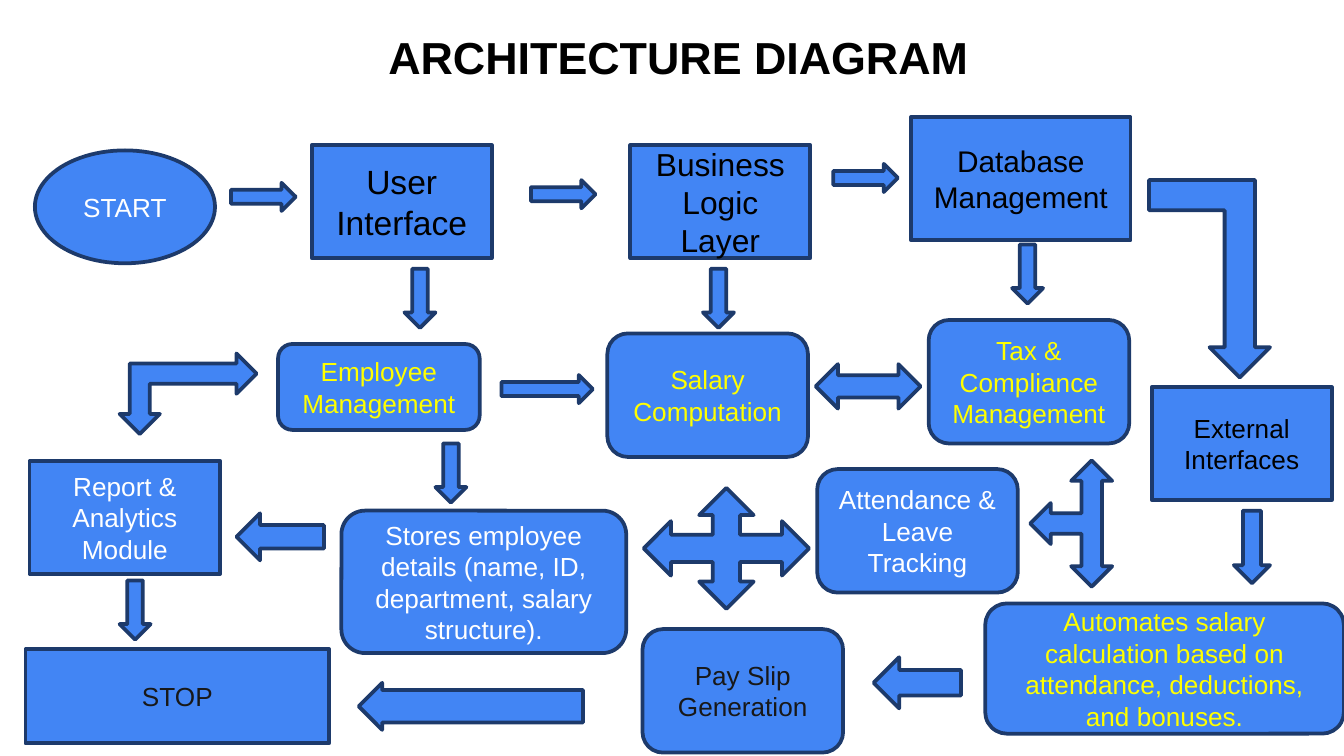
import pptx
import pptx.dml.color
import pptx.enum.shapes
import pptx.enum.text
import pptx.oxml
import pptx.oxml.ns
import pptx.util

Pt = pptx.util.Pt
SHAPE = pptx.enum.shapes.MSO_SHAPE
ANCHOR = pptx.enum.text.MSO_ANCHOR
ALIGN = pptx.enum.text.PP_ALIGN

TITLE = "ARCHITECTURE DIAGRAM"
FONT = "Arial"
FILL, OUTLINE = "4285F4", "1D3A6B"
BLACK, DARK, WHITE, YELLOW = "000000", "181818", "FFFFFF", "FFFF00"

BOX = (96.5, 60.5)
MODULE = (107.5, 66.2)

# text, shape, (left, top), (width, height), font size, font colour
NODES = [
    ("START", SHAPE.OVAL, (18.7, 80.6), BOX, 14, WHITE),
    ("User Interface", SHAPE.RECTANGLE, (167, 77.8), BOX, 18, BLACK),
    ("Business Logic Layer", SHAPE.RECTANGLE, (337.7, 77.8), BOX, 17, BLACK),
    ("Database Management", SHAPE.RECTANGLE, (488.2, 62.6), (117.4, 66.2), 16, BLACK),
    ("External Interfaces", SHAPE.RECTANGLE, (617, 207.4), BOX, 14, BLACK),
    ("Employee Management", SHAPE.ROUNDED_RECTANGLE, (149, 184.3), (108, 46), 14, YELLOW),
    ("Salary Computation", SHAPE.ROUNDED_RECTANGLE, (325.4, 178.6), MODULE, 14, YELLOW),
    ("Tax & Compliance Management", SHAPE.ROUNDED_RECTANGLE, (497.5, 171.4), MODULE, 14, YELLOW),
    ("Attendance & Leave Tracking", SHAPE.ROUNDED_RECTANGLE, (437.8, 251.3), MODULE, 14, WHITE),
    ("Pay Slip Generation", SHAPE.ROUNDED_RECTANGLE, (344.2, 337), MODULE, 14, DARK),
    ("Stores employee details (name, ID, department, salary structure).",
     SHAPE.ROUNDED_RECTANGLE, (182.9, 273.6), (152.6, 76.3), 14, WHITE),
    ("Automates salary calculation based on attendance, deductions, and bonuses.",
     SHAPE.ROUNDED_RECTANGLE, (527.8, 323.3), (192.2, 69.8), 14, YELLOW),
    ("Report & Analytics Module", SHAPE.RECTANGLE, (15.8, 247), (102.2, 60.5), 14, WHITE),
    ("STOP", SHAPE.RECTANGLE, (13.7, 347.8), (162.7, 50.4), 14, DARK),
]

# shape, (width, height), positions, extra settings
ARROWS = [
    (SHAPE.RIGHT_ARROW, (34.6, 15.1), [(123.8, 97.9), (284.4, 96.5), (446.4, 87.8)], {}),
    (SHAPE.RIGHT_ARROW, (49, 15.1), [(268.6, 200.9)], {}),
    (SHAPE.DOWN_ARROW, (16.6, 31.7),
     [(216.7, 144), (376.6, 144), (542.2, 131), (233.3, 237.6), (64.1, 311)], {}),
    (SHAPE.DOWN_ARROW, (19.4, 38.9), [(661, 273.6)], {}),
    (SHAPE.LEFT_ARROW, (46.8, 27.4), [(468, 352.1)], {}),
    (SHAPE.LEFT_ARROW, (46.8, 25.2), [(126.7, 275)], {}),
    (SHAPE.LEFT_ARROW, (120.2, 25.2), [(192.2, 365.8)], {"adjustments": (0.69, 0.5)}),
    (SHAPE.LEFT_RIGHT_ARROW, (56.2, 23.8), [(437, 195.1)], {}),
    (SHAPE.QUAD_ARROW, (88.6, 64.8), [(344.9, 261.4)], {}),
    (SHAPE.LEFT_UP_ARROW, (73.4, 43.2), [(64.1, 189.4)], {"flips": ("flipH", "flipV")}),
    (SHAPE.BENT_UP_ARROW, (64.8, 105.8), [(615.6, 96.5)], {"flips": ("flipV",)}),
    (SHAPE.LEFT_RIGHT_UP_ARROW, (67.7, 43.9), [(540, 258.5)], {"rotation": 270}),
]


def set_colour(colour_format, value):
    colour_format.rgb = pptx.dml.color.RGBColor.from_string(value)


def format_text(text_frame, size, colour, bold=False):
    text_frame.word_wrap = True
    text_frame.vertical_anchor = ANCHOR.MIDDLE
    for run in text_frame.paragraphs[0].runs:
        run.font.name = FONT
        run.font.size = Pt(size)
        run.font.bold = bold
        set_colour(run.font.color, colour)


def add_block(slide, kind, position, size):
    """Add a preset shape in the diagram's common fill and outline."""
    shape = slide.shapes.add_shape(kind, *map(Pt, position + size))
    shape.shadow.inherit = False
    shape.fill.solid()
    set_colour(shape.fill.fore_color, FILL)
    set_colour(shape.line.color, OUTLINE)
    shape.line.width = Pt(2)
    shape.line._get_or_add_ln().append(pptx.oxml.parse_xml(
        "<a:round %s/>" % pptx.oxml.ns.nsdecls("a")))
    return shape


def add_title(slide):
    title = slide.shapes.title
    title.left, title.top, title.width, title.height = map(Pt, (49, 3.6, 671, 53.3))
    title.text_frame.text = TITLE
    title.text_frame.margin_left = Pt(159)
    title.text_frame.paragraphs[0].alignment = ALIGN.LEFT
    format_text(title.text_frame, 24, BLACK, bold=True)


def add_node(slide, text, kind, position, size, font_size, colour):
    shape = add_block(slide, kind, position, size)
    shape.text_frame.text = text
    shape.text_frame.paragraphs[0].alignment = ALIGN.CENTER
    format_text(shape.text_frame, font_size, colour)


def add_arrow(slide, kind, position, size, adjustments=(), flips=(), rotation=0):
    shape = add_block(slide, kind, position, size)
    shape.rotation = rotation
    for index, value in enumerate(adjustments):
        shape.adjustments[index] = value
    for flip in flips:
        shape._element.spPr.xfrm.set(flip, "1")


def main():
    presentation = pptx.Presentation()
    presentation.slide_width, presentation.slide_height = Pt(720), Pt(405)
    slide = presentation.slides.add_slide(presentation.slide_layouts[5])
    add_title(slide)
    for node in NODES:
        add_node(slide, *node)
    for kind, size, positions, settings in ARROWS:
        for position in positions:
            add_arrow(slide, kind, position, size, **settings)
    presentation.save("out.pptx")


if __name__ == "__main__":
    main()
